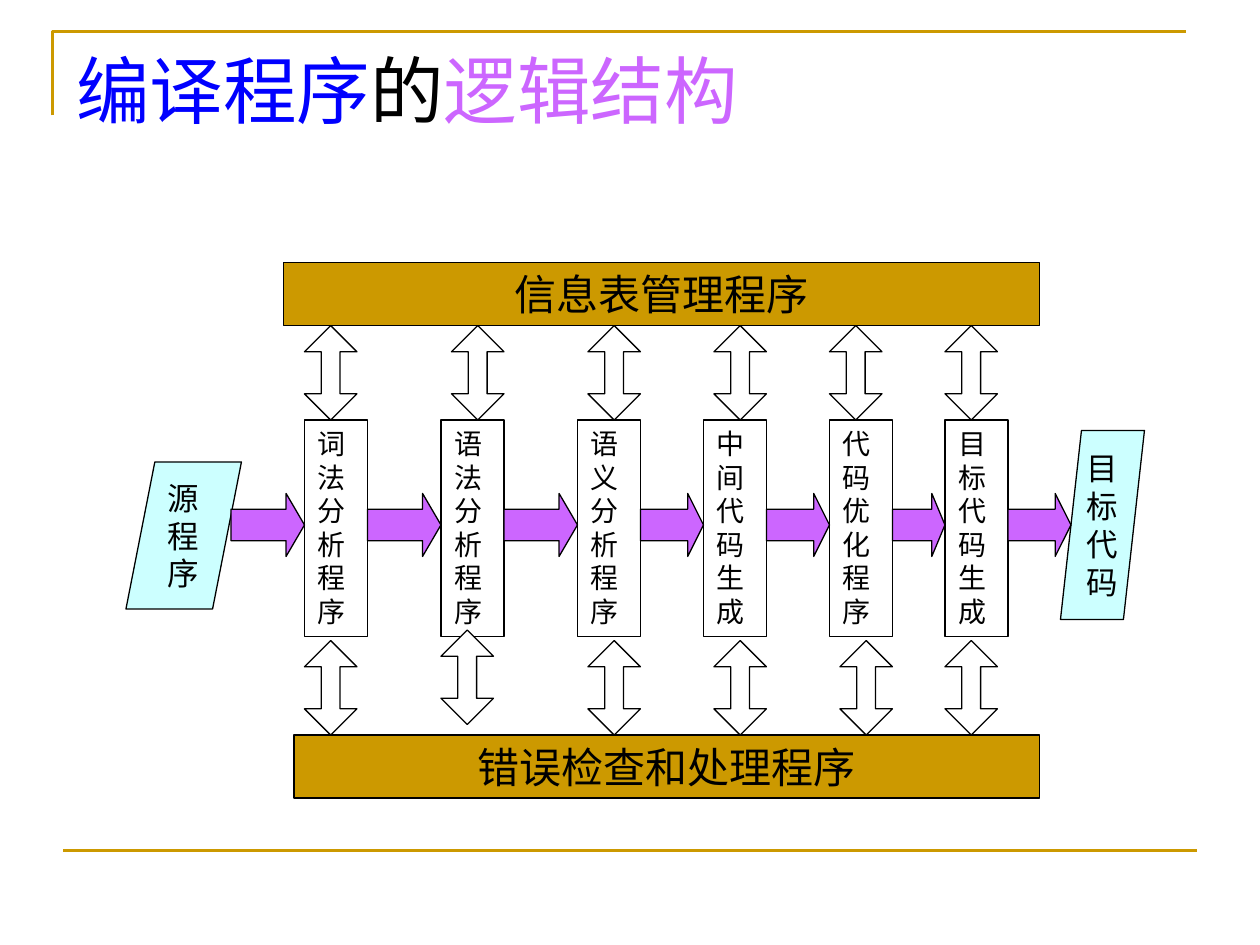
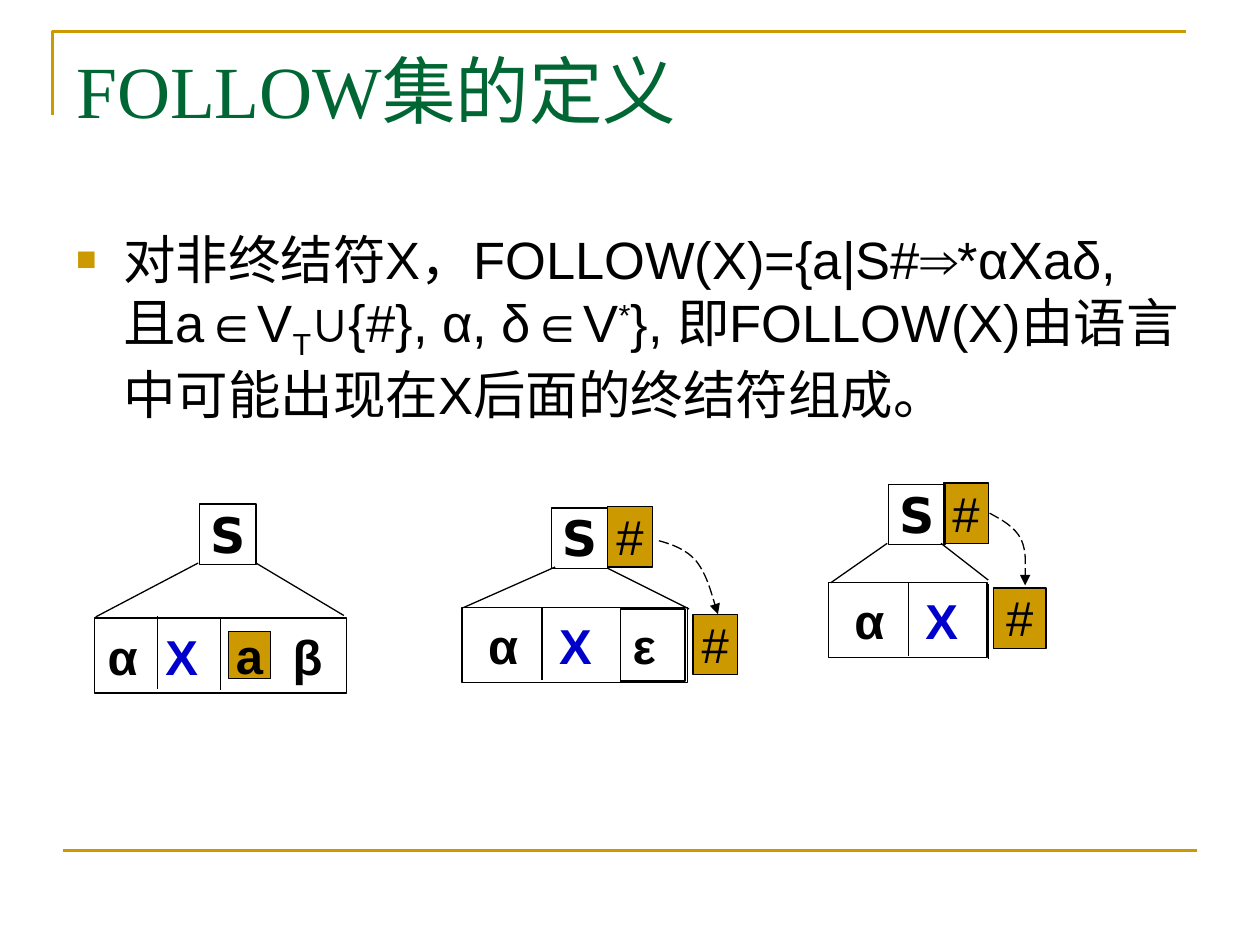
from dataclasses import dataclass
from itertools import pairwise

import pptx
import pptx.dml.color
import pptx.enum.dml
import pptx.enum.shapes
import pptx.enum.text
import pptx.oxml
import pptx.oxml.ns
import pptx.shapes.autoshape
import pptx.shapes.connector
import pptx.slide
import pptx.text.text
import pptx.util
from lxml import etree

RGBColor = pptx.dml.color.RGBColor
MSO_SHAPE = pptx.enum.shapes.MSO_SHAPE
PP_ALIGN = pptx.enum.text.PP_ALIGN
MSO_ANCHOR = pptx.enum.text.MSO_ANCHOR
qn = pptx.oxml.ns.qn

GOLD = RGBColor(0xCC, 0x99, 0x00)
BLACK = RGBColor(0x00, 0x00, 0x00)
WHITE = RGBColor(0xFF, 0xFF, 0xFF)
BLUE = RGBColor(0x00, 0x00, 0xFF)
SYMBOL_BLUE = RGBColor(0x00, 0x00, 0xCC)
PURPLE = RGBColor(0xCC, 0x66, 0xFF)
GREEN = RGBColor(0x00, 0x66, 0x33)
CYAN = RGBColor(0xCC, 0xFF, 0xFF)

SERIF, SANS, ROOT_FONT = "Times New Roman", "Arial", "DejaVu Sans"
EMU_PER_PX = 9525
INSET_X, INSET_Y = 10, 5
STAGE_TOP, STAGE_W, STAGE_H = 320, 48, 165
FLOW_TOP, FLOW_H = 376, 48
LINK_TOP, LINK_W, LINK_H = 248, 40, 72

Point = tuple[int, int]
Box = tuple[int, int, int, int]


@dataclass(frozen=True)
class Style:
    size: int
    font: str = SERIF
    color: RGBColor = BLACK
    bold: bool = False
    align: PP_ALIGN = PP_ALIGN.LEFT


@dataclass(frozen=True)
class Piece:
    text: str
    color: RGBColor | None = None
    baseline: int = 0


@dataclass(frozen=True)
class Stage:
    name: str
    x: int
    upper_x: int
    lower_x: int
    lower_y: int = 488


@dataclass(frozen=True)
class Tree:
    root: Box
    leaves: Box
    pieces: list[Piece]
    tabs: list[int]
    left_inset: int
    lines: list[tuple[Point, Point]]
    marks: list[Box]
    curve: list[Point]


STAGES = [
    Stage("词法分析程序", 232, 232, 232),
    Stage("语法分析程序", 336, 344, 336, 480),
    Stage("语义分析程序", 440, 448, 448),
    Stage("中间代码生成", 536, 544, 544),
    Stage("代码优化程序", 632, 632, 640),
    Stage("目标代码生成", 720, 720, 720),
]

ALPHA, X = Piece("α\t"), Piece("X", SYMBOL_BLUE)
TREES = [
    Tree((152, 384, 43, 46), (72, 471, 192, 57), [ALPHA, X, Piece("\tβ")], [44, 141], 10,
         [((120, 469), (120, 525)), ((168, 470), (168, 526)),
          ((151, 429), (73, 470)), ((195, 429), (262, 469))], [], []),
    Tree((420, 387, 43, 46), (352, 463, 172, 57), [ALPHA, X, Piece("\tε")], [54, 110], 20,
         [((413, 463), (413, 518)), ((473, 464), (473, 520)),
          ((423, 432), (353, 463)), ((463, 433), (525, 464))],
         [(463, 386, 34, 46), (528, 468, 34, 46)],
         [(502, 412), (513, 415), (523, 419), (530, 427), (538, 437), (542, 452), (547, 468)]),
    Tree((677, 369, 43, 46), (631, 444, 121, 57), [ALPHA, X], [54], 20,
         [((692, 444), (692, 500)), ((753, 445), (753, 502)),
          ((676, 414), (633, 444)), ((717, 414), (753, 442))],
         [(719, 368, 34, 46), (757, 448, 40, 46)],
         [(754, 391), (763, 396), (773, 401), (778, 411), (782, 420), (781, 434), (781, 446)]),
]


def px(n: int) -> pptx.util.Emu:
    return pptx.util.Emu(n * EMU_PER_PX)


def write(p: pptx.text.text._Paragraph, pieces: list[Piece], style: Style) -> None:
    p.alignment = style.align
    p.font.size = pptx.util.Pt(style.size)
    p.font.name = style.font
    p.font.bold = style.bold
    p.font.color.rgb = style.color
    for piece in pieces:
        r = p.add_run()
        r.text = piece.text
        if piece.color is not None:
            r.font.color.rgb = piece.color
        if piece.baseline:
            r.font._element.set("baseline", str(piece.baseline * 1000))


def set_frame(tf: pptx.text.text.TextFrame, wrap: bool, anchor: MSO_ANCHOR,
              left: int = INSET_X, right: int = INSET_X, y: int = INSET_Y) -> None:
    tf.auto_size = pptx.enum.text.MSO_AUTO_SIZE.NONE
    tf.word_wrap = wrap
    tf.vertical_anchor = anchor
    tf.margin_left, tf.margin_right = px(left), px(right)
    tf.margin_top = tf.margin_bottom = px(y)


def add_shape(s: pptx.slide.Slide, kind: MSO_SHAPE, box: Box, fill: RGBColor | None = None,
              adjustments: tuple[float, ...] = ()) -> pptx.shapes.autoshape.Shape:
    sp = s.shapes.add_shape(kind, *map(px, box))
    sp.shadow.inherit = False
    for i, value in enumerate(adjustments):
        sp.adjustments[i] = value
    if fill is None:
        sp.fill.background()
    else:
        sp.fill.solid()
        sp.fill.fore_color.rgb = fill
    sp.line.color.rgb = BLACK
    sp.line.width = pptx.util.Pt(0.75)
    return sp


def add_label(s: pptx.slide.Slide, box: Box, lines: list[str], style: Style,
              fill: RGBColor | None = None, kind: MSO_SHAPE = MSO_SHAPE.RECTANGLE) -> None:
    sp = add_shape(s, kind, box, fill)
    tf = sp.text_frame
    set_frame(tf, False, MSO_ANCHOR.MIDDLE)
    for i, line in enumerate(lines):
        write(tf.add_paragraph() if i else tf.paragraphs[0], [Piece(line)], style)


def add_line(s: pptx.slide.Slide, start: Point, end: Point,
             color: RGBColor = BLACK, width: float = 0.75) -> None:
    line = s.shapes.add_connector(pptx.enum.shapes.MSO_CONNECTOR.STRAIGHT,
                                  *map(px, start + end))
    line.line.color.rgb = color
    line.line.width = pptx.util.Pt(width)
    etree.SubElement(line._element.spPr, qn("a:effectLst"))


def add_outline(s: pptx.slide.Slide, points: list[Point], color: RGBColor,
                width: float) -> pptx.shapes.autoshape.Shape:
    builder = s.shapes.build_freeform(*points[0], scale=EMU_PER_PX)
    builder.add_line_segments(points[1:], close=False)
    sp = builder.convert_to_shape()
    sp.shadow.inherit = False
    sp.fill.background()
    sp.line.color.rgb = color
    sp.line.width = pptx.util.Pt(width)
    return sp


def add_curved_arrow(s: pptx.slide.Slide, points: list[Point]) -> None:
    sp = add_outline(s, points, BLACK, 0.75)
    sp.line.dash_style = pptx.enum.dml.MSO_LINE.LONG_DASH
    segments = list(sp._element.iter(qn("a:lnTo")))
    for i in range(0, len(segments), 3):
        cubic = segments[i]
        cubic.tag = qn("a:cubicBezTo")
        for other in segments[i + 1:i + 3]:
            cubic.append(other[0])
            other.getparent().remove(other)
    etree.SubElement(sp.line._get_or_add_ln(), qn("a:tailEnd"), type="triangle")


def add_slide(prs: pptx.presentation.Presentation, title: list[Piece],
              color: RGBColor) -> pptx.slide.Slide:
    s = prs.slides.add_slide(prs.slide_layouts[5])
    add_outline(s, [(40, 88), (40, 24), (904, 24)], GOLD, 1.5)
    add_line(s, (48, 648), (912, 648), GOLD, 1.5)
    sp = s.shapes.title
    sp.left, sp.top, sp.width, sp.height = map(px, (48, 29, 864, 120))
    set_frame(sp.text_frame, True, MSO_ANCHOR.TOP)
    write(sp.text_frame.paragraphs[0], title, Style(42, color=color))
    return s


def add_structure_slide(prs: pptx.presentation.Presentation) -> None:
    s = add_slide(prs, [Piece("编译程序", BLUE), Piece("的"), Piece("逻辑结构", PURPLE)], BLACK)
    for stage in STAGES:
        sp = add_shape(s, MSO_SHAPE.RECTANGLE, (stage.x, STAGE_TOP, STAGE_W, STAGE_H))
        set_frame(sp.text_frame, True, MSO_ANCHOR.TOP)
        write(sp.text_frame.paragraphs[0], [Piece(stage.name)], Style(16))

    bar = Style(24, align=PP_ALIGN.CENTER)
    add_label(s, (216, 200, 576, 48), ["信息表管理程序"], bar, GOLD)
    add_label(s, (224, 560, 568, 48), ["错误检查和处理程序"], bar, GOLD)
    end = Style(18, align=PP_ALIGN.CENTER)
    add_label(s, (96, 352, 88, 112), list("源程序"), end, CYAN, MSO_SHAPE.PARALLELOGRAM)
    add_label(s, (808, 328, 64, 144), list("目标代码"), end, CYAN, MSO_SHAPE.PARALLELOGRAM)

    stops = [176 - STAGE_W, *(stage.x for stage in STAGES), 816]
    for previous, following in pairwise(stops):
        left = previous + STAGE_W
        width = following - left
        head = max(0.25, width / FLOW_H / 4)
        add_shape(s, MSO_SHAPE.RIGHT_ARROW, (left, FLOW_TOP, width, FLOW_H), PURPLE, (0.5, head))
    for stage in STAGES:
        for x, y in ((stage.upper_x, LINK_TOP), (stage.lower_x, stage.lower_y)):
            add_shape(s, MSO_SHAPE.UP_DOWN_ARROW, (x, y, LINK_W, LINK_H), WHITE, (0.5, 0.36))


def add_definition(s: pptx.slide.Slide) -> None:
    tf = s.shapes.add_textbox(*map(px, (48, 168, 864, 475))).text_frame
    set_frame(tf, True, MSO_ANCHOR.TOP)
    p = tf.paragraphs[0]
    write(p, [
        Piece("对非终结符X，FOLLOW(X)={a|S#⇒*αXaδ, 且a∈V"), Piece("T", baseline=-25),
        Piece("∪{#}, α, δ∈V"), Piece("*", baseline=30),
        Piece("}, 即FOLLOW(X)由语言中可能出现在X后面的终结符组成。"),
    ], Style(30, SANS))
    pPr = p._p.get_or_add_pPr()
    pPr.set("marL", str(px(36)))
    pPr.set("indent", str(px(-36)))
    bullet = pptx.oxml.parse_xml(
        f'<a:pPr {pptx.oxml.ns.nsdecls("a")}><a:buClr><a:srgbClr val="{GOLD}"/></a:buClr>'
        '<a:buSzPct val="65000"/><a:buFont typeface="Arial"/><a:buChar char="■"/></a:pPr>')
    for i, child in enumerate(list(bullet)):
        pPr.insert(i, child)


def add_tight_label(s: pptx.slide.Slide, box: Box, text: str, style: Style,
                    fill: RGBColor | None = None) -> None:
    sp = add_shape(s, MSO_SHAPE.RECTANGLE, box, fill)
    set_frame(sp.text_frame, True, MSO_ANCHOR.TOP, 0, 0, 0)
    write(sp.text_frame.paragraphs[0], [Piece(text)], style)


def add_tree(s: pptx.slide.Slide, tree: Tree) -> None:
    sp = add_shape(s, MSO_SHAPE.RECTANGLE, tree.leaves)
    set_frame(sp.text_frame, True, MSO_ANCHOR.MIDDLE, tree.left_inset, 0)
    p = sp.text_frame.paragraphs[0]
    write(p, tree.pieces, Style(28, SANS, bold=True))
    tab_list = etree.Element(qn("a:tabLst"))
    for position in tree.tabs:
        etree.SubElement(tab_list, qn("a:tab"), pos=str(px(position)), algn="l")
    p._p.get_or_add_pPr().insert(0, tab_list)
    for start, end in tree.lines:
        add_line(s, start, end)
    for mark in tree.marks:
        add_tight_label(s, mark, "#", Style(28, SANS, align=PP_ALIGN.CENTER), GOLD)
    if tree.curve:
        add_curved_arrow(s, tree.curve)
    add_tight_label(s, tree.root, "S", Style(28, ROOT_FONT, bold=True, align=PP_ALIGN.CENTER))


def add_follow_slide(prs: pptx.presentation.Presentation) -> None:
    s = add_slide(prs, [Piece("FOLLOW集的定义")], GREEN)
    add_definition(s)
    add_label(s, (174, 481, 32, 36), ["a"],
              Style(28, SANS, bold=True, align=PP_ALIGN.CENTER), GOLD)
    add_shape(s, MSO_SHAPE.RECTANGLE, (473, 464, 49, 55))
    for tree in TREES:
        add_tree(s, tree)


def main() -> None:
    prs = pptx.Presentation()
    prs.slide_width, prs.slide_height = px(960), px(720)
    add_structure_slide(prs)
    add_follow_slide(prs)
    prs.save("out.pptx")


if __name__ == "__main__":
    main()
